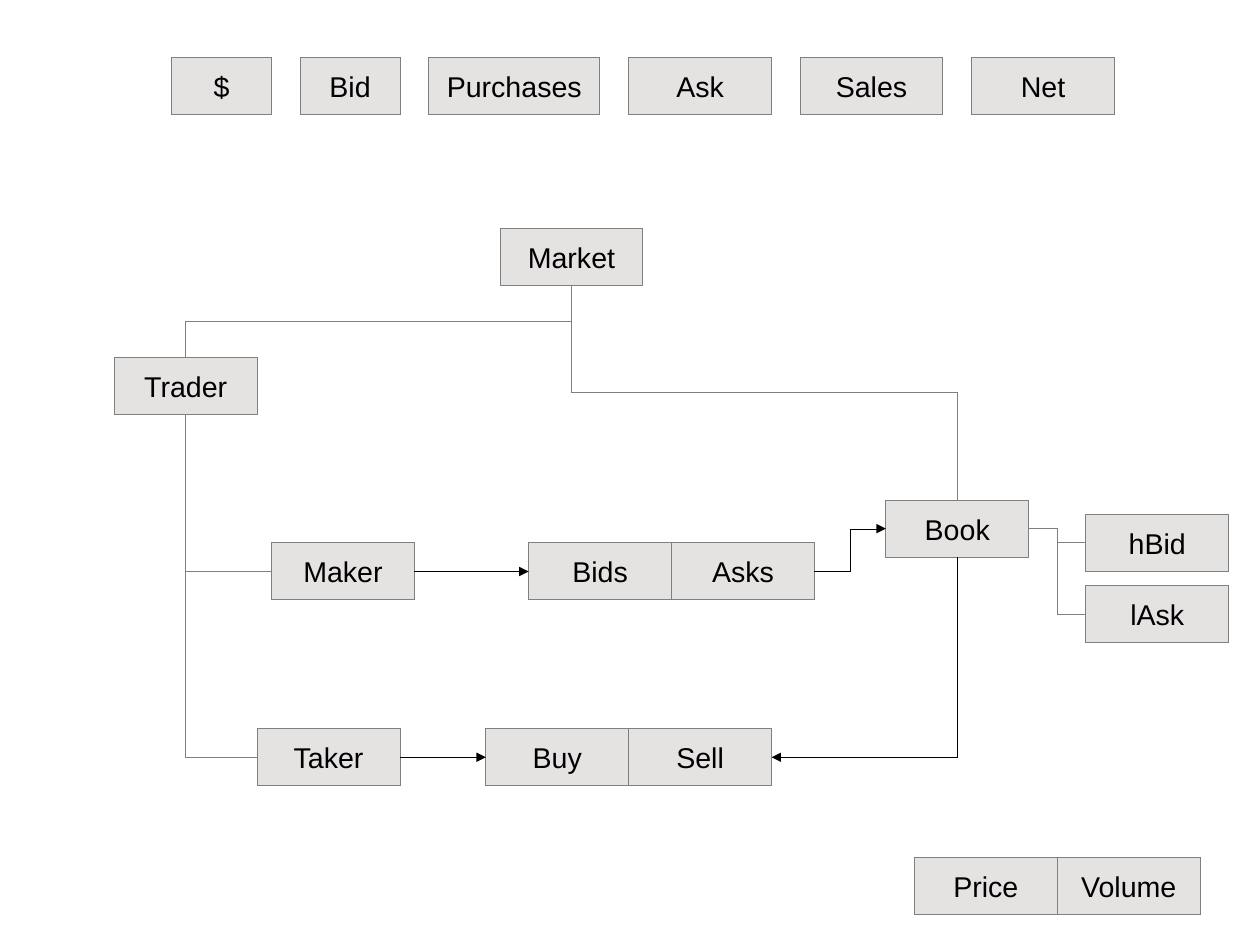
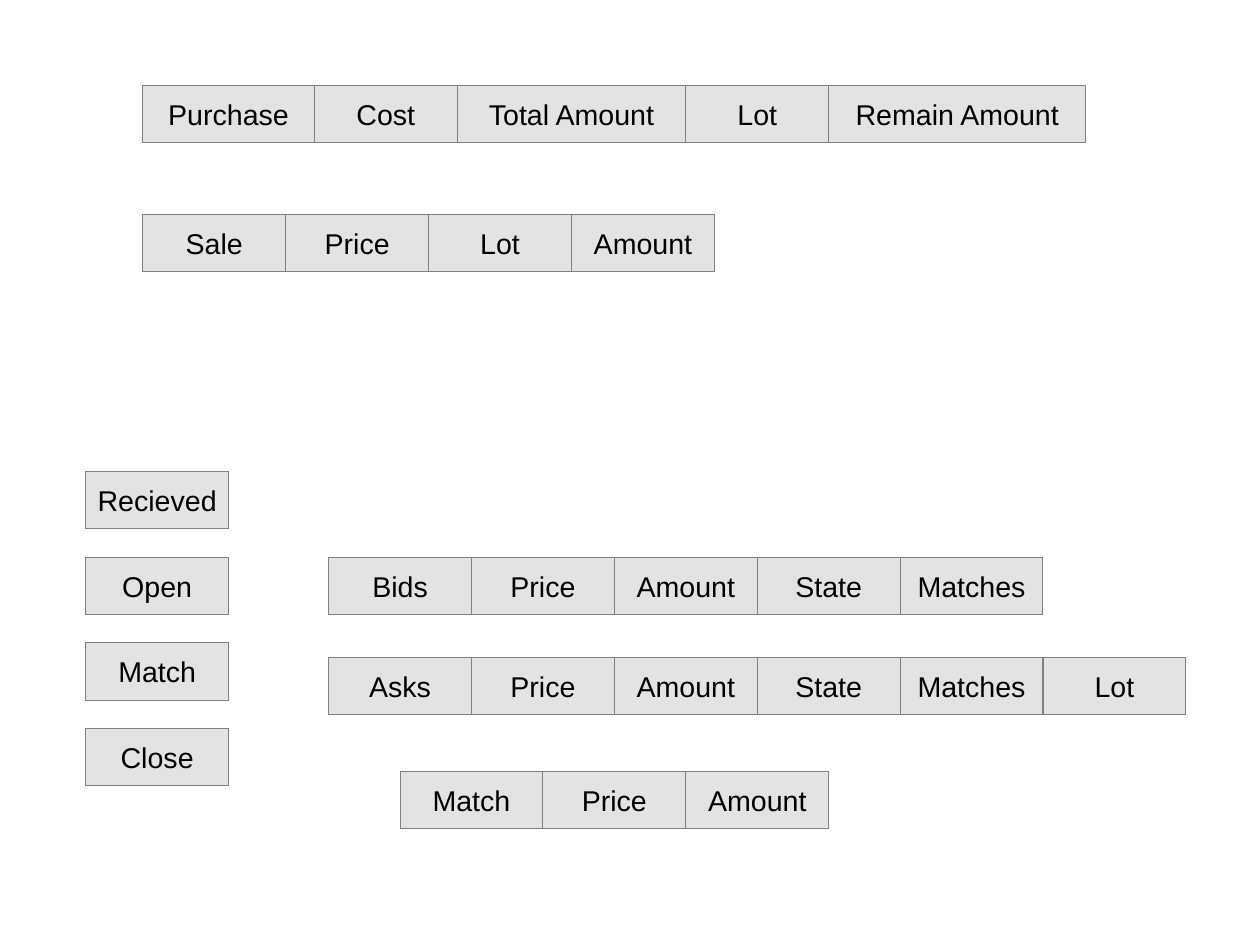
from pptx import Presentation
from pptx import util as u
from pptx.dml.color import RGBColor
from pptx.enum import shapes, text
from pptx.oxml.ns import qn
from lxml import etree

PX = 9525  # EMU in one px, 96 px to the inch
WIDE, HIGH = 120, 48
TOP, LEFT, BOTTOM, RIGHT = range(4)
COLORS = {"fill": "E5E2E2", "line": "808080", "ink": "000000"}


def rgb(name):
    return RGBColor.from_string(COLORS[name])


class Deck:
    def __init__(self):
        self.prs = Presentation()
        self.prs.slide_width = u.Cm(28)
        self.prs.slide_height = u.Cm(21)

    def page(self):
        self.slide = self.prs.slides.add_slide(self.prs.slide_layouts[6])

    def stroke(self, shape, color):
        """Give a hairline, which needs its zero width written out."""
        shape.line.color.rgb = rgb(color)
        line = shape.element.spPr.find(qn("a:ln"))
        line.set("w", "0")
        return line

    def box(self, x, y, label, wide=WIDE):
        box = self.slide.shapes.add_shape(
            shapes.MSO_SHAPE.RECTANGLE, x * PX, y * PX, wide * PX, HIGH * PX)
        box.shadow.inherit = False
        box.fill.solid()
        box.fill.fore_color.rgb = rgb("fill")
        self.stroke(box, "line")
        frame = box.text_frame
        frame.text = label
        frame.vertical_anchor = text.MSO_ANCHOR.MIDDLE
        para = frame.paragraphs[0]
        para.alignment = text.PP_ALIGN.CENTER
        font = para.runs[0].font
        font.name, font.size = "Arial", u.Pt(18)
        font.color.rgb = rgb("ink")
        return box

    def row(self, x, y, labels, widths=None, gap=0):
        boxes = []
        for label, wide in zip(labels, widths or [WIDE] * len(labels)):
            boxes.append(self.box(x, y, label, wide))
            x += wide + gap
        return boxes

    def link(self, start, out, end, into, arrow=False):
        """Join a side of one box to a side of another."""
        link = self.slide.shapes.add_connector(
            shapes.MSO_CONNECTOR.ELBOW, 0, 0, 0, 0)
        link.begin_connect(start, out)
        link.end_connect(end, into)
        line = self.stroke(link, "ink" if arrow else "line")
        props = link.element.spPr
        if out == BOTTOM:
            self.turn(link)
        if link.height == 0 or (out == BOTTOM and into != TOP):
            props.find(qn("a:prstGeom")).set("prst", "bentConnector2")
        if arrow:
            etree.SubElement(line, qn("a:tailEnd")).set("type", "triangle")
        etree.SubElement(props, qn("a:effectLst"))

    def turn(self, link):
        """Rotate an elbow so that it sets off downwards."""
        right = link.end_x > link.begin_x
        x, y, wide, high = link.left, link.top, link.width, link.height
        link.left = x + (wide - high) // 2
        link.top = y + (high - wide) // 2
        link.width, link.height = high, wide
        frame = link.element.spPr.find(qn("a:xfrm"))
        frame.set("rot", "16200000" if right else "5400000")
        frame.set("flipH", "1" if right else "0")


def market(deck):
    deck.page()
    # Ledger heads
    deck.row(144, 48, ["$", "Bid", "Purchases", "Ask", "Sales", "Net"],
             [84, 84, 144, WIDE, WIDE, WIDE], gap=24)

    # Boxes of the tree
    root = deck.box(420, 192, "Market")
    book = deck.box(744, 420, "Book")
    bids, asks = deck.row(444, 456, ["Bids", "Asks"])
    deck.row(768, 720, ["Price", "Volume"])
    buy, sell = deck.row(408, 612, ["Buy", "Sell"])
    trader = deck.box(96, 300, "Trader")
    maker = deck.box(228, 456, "Maker")
    taker = deck.box(216, 612, "Taker")
    high = deck.box(912, 432, "hBid")
    low = deck.box(912, 492, "lAsk")

    # Plain links
    for child in (book, trader):
        deck.link(root, BOTTOM, child, TOP)
    for child in (taker, maker):
        deck.link(trader, BOTTOM, child, LEFT)
    for child in (high, low):
        deck.link(book, RIGHT, child, LEFT)

    # Order flow
    for start, end in ((taker, buy), (maker, bids), (asks, book)):
        deck.link(start, RIGHT, end, LEFT, arrow=True)
    deck.link(book, BOTTOM, sell, RIGHT, arrow=True)


def records(deck):
    deck.page()
    # Trade records
    deck.row(120, 72,
             ["Purchase", "Cost", "Total Amount", "Lot", "Remain Amount"],
             [144, WIDE, 192, WIDE, 216])
    deck.row(120, 180, ["Sale", "Price", "Lot", "Amount"])

    # Order states
    for i, state in enumerate(["Recieved", "Open", "Match", "Close"]):
        deck.box(72, 396 + 72 * i, state)

    # Order records
    order = ["Price", "Amount", "State", "Matches"]
    deck.row(276, 468, ["Bids"] + order)
    deck.row(276, 552, ["Asks"] + order + ["Lot"])
    deck.row(336, 648, ["Match", "Price", "Amount"])


def main():
    deck = Deck()
    market(deck)
    records(deck)
    deck.prs.save("out.pptx")


if __name__ == "__main__":
    main()
